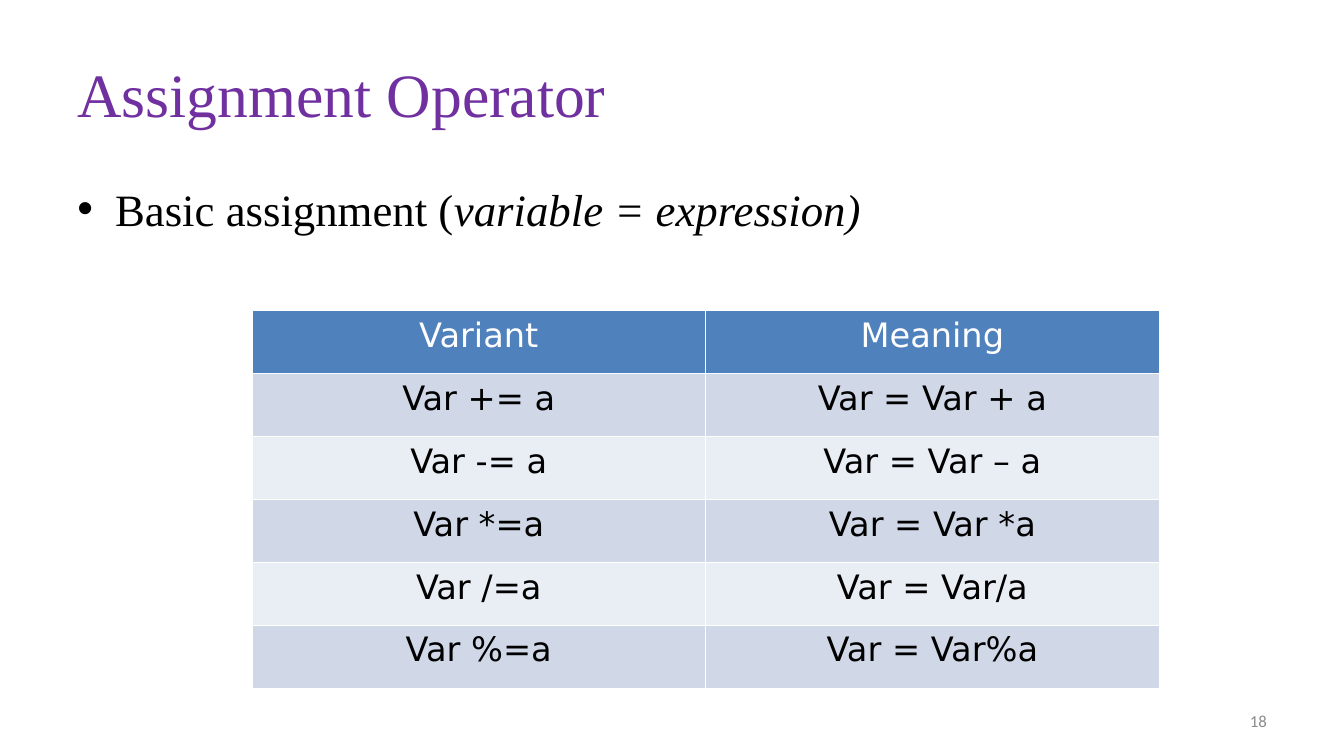
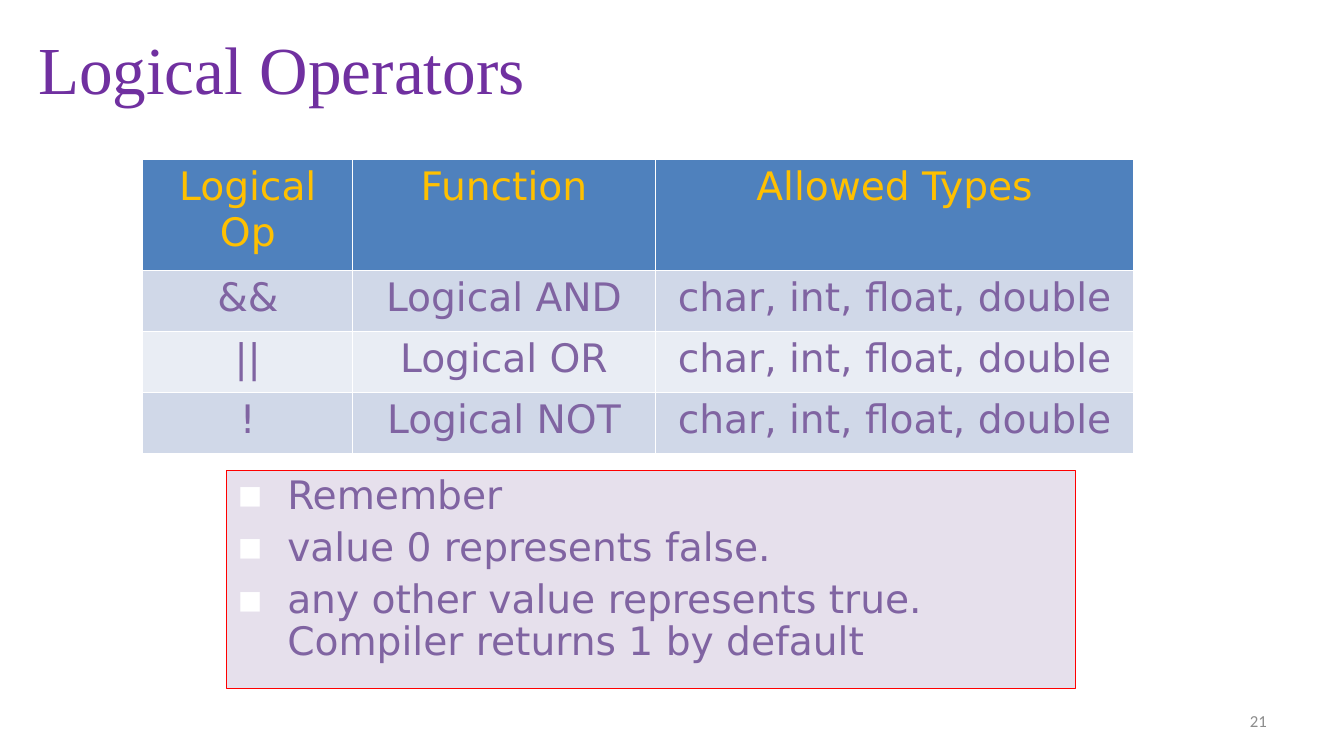
from dataclasses import dataclass
from lxml import etree
from pptx import Presentation
from pptx.dml.color import RGBColor
from pptx.enum.text import MSO_ANCHOR, MSO_AUTO_SIZE, PP_ALIGN
from pptx.oxml.ns import qn
from pptx.util import Pt

LEFT, CENTER, RIGHT = PP_ALIGN.LEFT, PP_ALIGN.CENTER, PP_ALIGN.RIGHT
MIDDLE = MSO_ANCHOR.MIDDLE
NO_FIT = MSO_AUTO_SIZE.NONE


@dataclass(frozen=True)
class Theme:
    serif: str = "Times New Roman"
    sans: str = "DejaVu Sans"
    small: str = "Calibri"
    title: str = "7030A0"
    black: str = "000000"
    white: str = "FFFFFF"
    gold: str = "FFC000"
    violet: str = "8064A2"
    gray: str = "8C8C8C"
    head: str = "4F81BD"
    bands: tuple = ("D0D8E8", "E9EDF4")
    note: str = "E6E0EC"
    edge: str = "FF0000"
    body_size: int = 32
    num_size: int = 12


T = Theme()
NUM_BOX = (688, 500.4, 224, 28.8)
TYPES = "char, int, float, double"

ASSIGN = {
    "title": "Assignment Operator", "title_box": (48, 21.6, 864, 90),
    "title_size": 44, "number": "18",
    "table": {
        "at": (180, 222), "cols": (324, 324), "rows": (45,) * 6,
        "size": 24, "head": T.white, "ink": T.black,
        "cells": [
            ("Variant", "Meaning"),
            ("Var += a", "Var = Var + a"),
            ("Var -= a", "Var = Var – a"),
            ("Var *=a", "Var = Var *a"),
            ("Var /=a", "Var = Var/a"),
            ("Var %=a", "Var = Var%a"),
        ],
    },
}
BASIC = ("Basic assignment (", "variable = expression)")
BASIC_BOX = (48, 126, 864, 356.4)

LOGIC = {
    "title": "Logical Operators", "title_box": (20, 12, 612, 72),
    "title_size": 48, "number": "21",
    "table": {
        "at": (102, 114), "cols": (150, 216, 342),
        "rows": (79.2,) + (43.6,) * 3,
        "size": 28, "head": T.gold, "ink": T.violet,
        "cells": [
            ("Logical Op", "Function", "Allowed Types"),
            ("&&", "Logical AND", TYPES),
            ("||", "Logical OR", TYPES),
            ("!", "Logical NOT", TYPES),
        ],
    },
}
NOTES = [
    "Remember",
    "value 0 represents false.",
    "any other value represents true. Compiler returns 1 by default",
]
NOTE_BOX = (162, 336, 606, 156)
NOTE_SIZE, NOTE_GAP, NOTE_DENT = 28, 7, 36


def rgb(code):
    return RGBColor.from_string(code)


def place(shape, box):
    shape.left, shape.top, shape.width, shape.height = map(Pt, box)


def style(para, face, size, ink, align=LEFT):
    para.alignment = align
    for run in para.runs:
        font = run.font
        font.name, font.size, font.bold = face, Pt(size), False
        font.color.rgb = rgb(ink)


def paint(part, code):
    part.fill.solid()
    part.fill.fore_color.rgb = rgb(code)


def add_grid(slide, data):
    cells, cols, rows = data["cells"], data["cols"], data["rows"]
    box = (*data["at"], sum(cols), sum(rows))
    grid = slide.shapes.add_table(len(rows), len(cols), *map(Pt, box)).table
    for col, width in zip(grid.columns, cols):
        col.width = Pt(width)
    for r, texts in enumerate(cells):
        grid.rows[r].height = Pt(rows[r])
        fill = T.bands[(r - 1) % 2] if r else T.head
        ink = data["ink"] if r else data["head"]
        for c, text in enumerate(texts):
            cell = grid.cell(r, c)
            cell.text_frame.text = text
            paint(cell, fill)
            style(cell.text_frame.paragraphs[0], T.sans, data["size"],
                  ink, CENTER)


def add_page(prs, data):
    """Add title, table and number; return the body placeholder."""
    slide = prs.slides.add_slide(prs.slide_layouts[1])
    title, body = slide.placeholders[0], slide.placeholders[1]
    place(title, data["title_box"])
    title.text_frame.text = data["title"]
    title.text_frame.auto_size = NO_FIT
    style(title.text_frame.paragraphs[0], T.serif, data["title_size"], T.title)
    add_grid(slide, data["table"])
    num = slide.shapes.add_textbox(*map(Pt, NUM_BOX)).text_frame
    num.word_wrap = True
    num.vertical_anchor = MIDDLE
    num.text = data["number"]
    style(num.paragraphs[0], T.small, T.num_size, T.gray, RIGHT)
    body.text_frame.auto_size = NO_FIT
    return body


def set_bullet(para, char, ink, dent):
    props = para._p.get_or_add_pPr()
    props.set("marL", str(Pt(dent)))
    props.set("indent", str(-Pt(dent)))
    color = etree.SubElement(props, qn("a:buClr"))
    etree.SubElement(color, qn("a:srgbClr"), val=ink)
    etree.SubElement(props, qn("a:buFont"), typeface=T.sans)
    etree.SubElement(props, qn("a:buChar"), char=char)


def add_basic(body):
    place(body, BASIC_BOX)
    para = body.text_frame.paragraphs[0]
    for text in BASIC:
        para.add_run().text = text
    style(para, T.serif, T.body_size, T.black)
    para.runs[1].font.italic = True


def add_notes(body):
    place(body, NOTE_BOX)
    paint(body, T.note)
    body.line.color.rgb = rgb(T.edge)
    body.line.width = Pt(0.75)
    frame = body.text_frame
    frame.text = "\n".join(NOTES)
    for para in frame.paragraphs:
        style(para, T.sans, NOTE_SIZE, T.violet)
        para.line_spacing = 0.9
        para.space_before = Pt(NOTE_GAP)
        set_bullet(para, "▪", T.white, NOTE_DENT)


def main():
    prs = Presentation()
    prs.slide_width, prs.slide_height = Pt(960), Pt(540)
    add_basic(add_page(prs, ASSIGN))
    add_notes(add_page(prs, LOGIC))
    prs.save("out.pptx")


if __name__ == "__main__":
    main()
